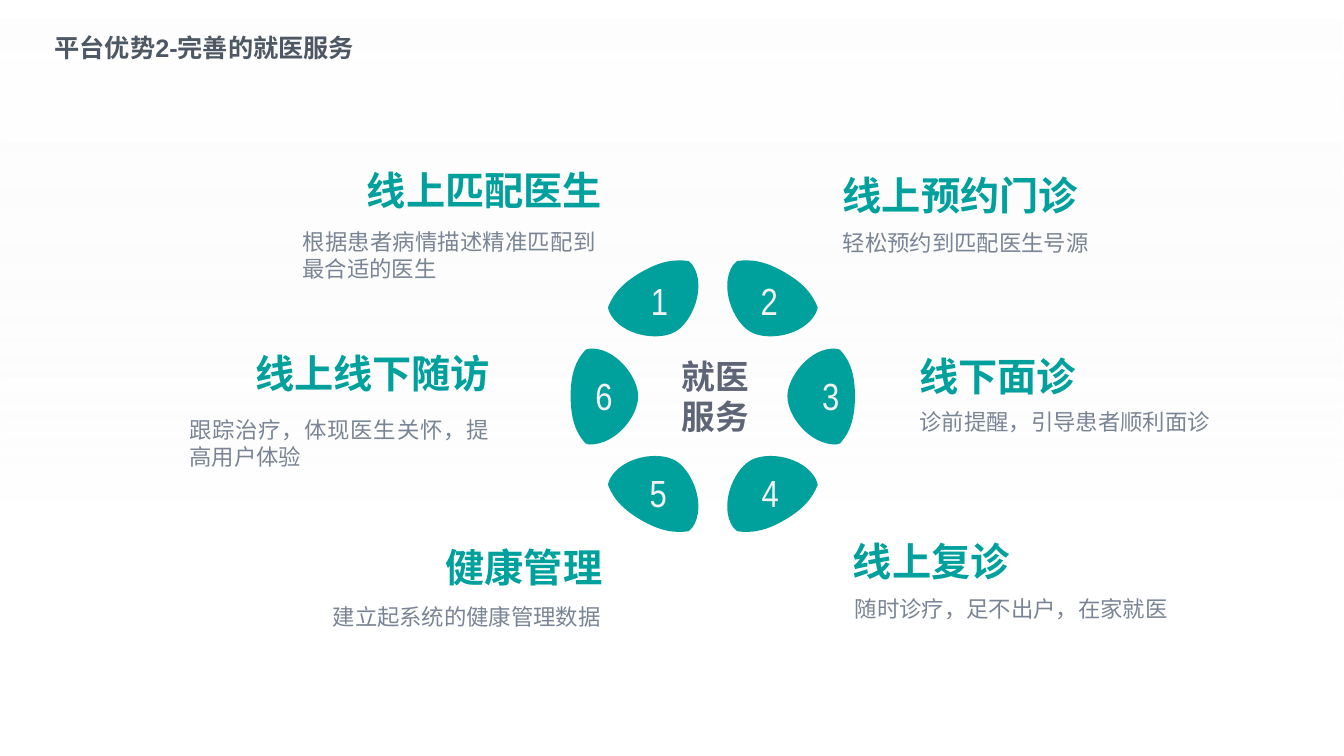
from dataclasses import dataclass

from lxml.etree import SubElement
from pptx import Presentation
from pptx.dml.color import RGBColor
from pptx.enum.shapes import MSO_SHAPE
from pptx.enum.text import MSO_ANCHOR, MSO_AUTO_SIZE, PP_ALIGN
from pptx.oxml.ns import qn
from pptx.util import Inches, Pt

TEAL = "00A09D"
HAN = "Noto Sans CJK SC"
MID_X, MID_Y = 7.07, 3.93

HEAD = {"size": Pt(28), "bold": True, "name": HAN}
NOTE = {"size": Pt(16), "name": HAN}
HUB = {"size": Pt(24), "bold": True, "name": HAN}
DIGIT = {"size": Pt(27), "name": "Arial Narrow"}
TITLE = {"size": Pt(18), "bold": True, "name": "Arial"}

# Each outline is a start point followed by cubic curves (two handles, one end).
CORNER = [(6.83, 2.59),
          (6.69, 2.57), (6.55, 2.59), (6.36, 2.7),
          (6.17, 2.81), (6.08, 2.92), (6.03, 3.05),
          (6.03, 3.06), (6.04, 3.09), (6.05, 3.11),
          (6.17, 3.33), (6.53, 3.39), (6.7, 3.29),
          (6.87, 3.19), (7.01, 2.84), (6.87, 2.63),
          (6.86, 2.62), (6.83, 2.59), (6.83, 2.59)]
SIDE = [(5.8, 3.48),
        (5.71, 3.58), (5.66, 3.71), (5.66, 3.93),
        (5.66, 4.15), (5.71, 4.29), (5.8, 4.39),
        (5.8, 4.4), (5.84, 4.41), (5.85, 4.41),
        (6.11, 4.41), (6.33, 4.13), (6.33, 3.93),
        (6.33, 3.74), (6.1, 3.44), (5.85, 3.46),
        (5.83, 3.46), (5.8, 3.47), (5.8, 3.48)]


@dataclass
class Petal:
    digit: str
    curve: list
    flip_x: bool
    flip_y: bool
    x: float
    y: float


@dataclass
class Topic:
    head: str
    head_box: tuple
    note: str
    note_box: tuple


PETALS = [
    Petal("1", CORNER, False, False, 6.54, 2.75),
    Petal("2", CORNER, True, False, 7.63, 2.75),
    Petal("3", SIDE, True, False, 8.24, 3.7),
    Petal("4", CORNER, True, True, 7.64, 4.66),
    Petal("5", CORNER, False, True, 6.53, 4.66),
    Petal("6", SIDE, False, False, 5.99, 3.7),
]
TOPICS = [
    Topic("线上匹配医生", (3.64, 1.65, 2.36, 0.47),
          "根据患者病情描述精准匹配到最合适的医生", (3, 2.26, 2.91, 0.54)),
    Topic("线上预约门诊", (8.36, 1.7, 2.74, 0.47),
          "轻松预约到匹配医生号源", (8.36, 2.27, 2.74, 0.27)),
    Topic("线下面诊", (9.12, 3.5, 1.77, 0.47),
          "诊前提醒，引导患者顺利面诊", (9.12, 4.05, 2.96, 0.27)),
    Topic("线上复诊", (8.46, 5.33, 2.09, 0.47),
          "随时诊疗，足不出户，在家就医", (8.48, 5.9, 3.18, 0.27)),
    Topic("健康管理", (4.42, 5.39, 1.65, 0.47),
          "建立起系统的健康管理数据", (3.3, 5.98, 2.77, 0.27)),
    Topic("线上线下随访", (2.53, 3.47, 2.36, 0.47),
          "跟踪治疗，体现医生关怀，提高用户体验", (1.88, 4.13, 2.97, 0.54)),
]


def color(code: str) -> RGBColor:
    return RGBColor.from_string(code)


def write(frame, text: str, form: dict, code: str, align) -> None:
    """Fill a text frame, one paragraph per line, in a single format."""
    frame.text = text
    for para in frame.paragraphs:
        para.alignment = align
        for run in para.runs:
            for key, value in form.items():
                setattr(run.font, key, value)
            run.font.color.rgb = color(code)
            SubElement(run.font._element, qn("a:ea"), typeface=HAN)


def label(shapes, box: tuple, text: str, form: dict, code: str,
          align=PP_ALIGN.LEFT, wrap: bool = True):
    frame = shapes.add_textbox(*map(Inches, box)).text_frame
    for side in ("left", "top", "right", "bottom"):
        setattr(frame, f"margin_{side}", 0)
    frame.word_wrap = wrap
    frame.auto_size = MSO_AUTO_SIZE.SHAPE_TO_FIT_TEXT
    write(frame, text, form, code, align)
    return frame


def bend(shape) -> None:
    """Join each three straight segments of an outline into one cubic curve."""
    lines = list(shape.element.iter(qn("a:lnTo")))
    for i in range(0, len(lines), 3):
        first, *rest = lines[i:i + 3]
        curve = first.makeelement(qn("a:cubicBezTo"))
        first.addprevious(curve)
        for line in (first, *rest):
            curve.append(line[0])
            line.getparent().remove(line)


def draw_petal(slide, petal: Petal) -> None:
    points = [(Inches(2 * MID_X - x if petal.flip_x else x),
               Inches(2 * MID_Y - y if petal.flip_y else y))
              for x, y in petal.curve]
    group = slide.shapes.add_group_shape().shapes
    pen = group.build_freeform(*points[0])
    pen.add_line_segments(points[1:], close=False)
    leaf = pen.convert_to_shape()
    bend(leaf)
    last = list(leaf.element.iter(qn("a:cubicBezTo")))[-1]
    SubElement(last.getparent(), qn("a:close"))
    leaf.shadow.inherit = False
    leaf.fill.solid()
    leaf.fill.fore_color.rgb = color(TEAL)
    leaf.line.fill.background()
    frame = label(group, (petal.x - 0.1, petal.y, 0.2, 0.45), petal.digit,
                  DIGIT, "F2F2F2", PP_ALIGN.CENTER, wrap=False)
    frame.paragraphs[0].runs[0].font._element.set("spc", "300")


def draw_topic(slide, topic: Topic) -> None:
    label(slide.shapes, topic.head_box, topic.head, HEAD, TEAL)
    label(slide.shapes, topic.note_box, topic.note, NOTE, "798494",
          PP_ALIGN.JUSTIFY)


def draw_title(slide) -> None:
    title = slide.shapes.title
    title.left, title.top, title.width, title.height = map(
        Inches, (0.44, 0.27, 3.2, 0.4))
    frame = title.text_frame
    frame.word_wrap = True
    frame.auto_size = MSO_AUTO_SIZE.SHAPE_TO_FIT_TEXT
    frame.vertical_anchor = MSO_ANCHOR.TOP
    write(frame, "平台优势2-完善的就医服务", TITLE, "4E5865", PP_ALIGN.LEFT)


def draw_shade(deck, slide) -> None:
    """Lay a faint gradient over the slide master, behind all else."""
    shade = slide.shapes.add_shape(
        MSO_SHAPE.RECTANGLE, 0, 0, deck.slide_width, deck.slide_height)
    shade.shadow.inherit = False
    shade.line.fill.background()
    shade.fill.gradient()
    shade.fill.gradient_angle = 270
    stops = [(0, "FFFFFF", "55000"), (0.71, "F2F2F2", "0")]
    for stop, (place, code, alpha) in zip(shade.fill.gradient_stops, stops):
        stop.position = place
        stop.color.rgb = color(code)
        tint = stop._element.find(qn("a:srgbClr"))
        SubElement(tint, qn("a:alpha"), val=alpha)
    deck.slide_master.shapes[0].element.addprevious(shade.element)


def main() -> None:
    deck = Presentation()
    deck.slide_width, deck.slide_height = Inches(13.33), Inches(7.5)
    slide = deck.slides.add_slide(deck.slide_layouts[5])
    label(slide.shapes, (6.55, 3.53, 1.09, 0.81), "就医\n服务", HUB, "5E6576",
          PP_ALIGN.CENTER)
    for petal in PETALS:
        draw_petal(slide, petal)
    for topic in TOPICS:
        draw_topic(slide, topic)
    draw_title(slide)
    draw_shade(deck, slide)
    deck.save("out.pptx")


if __name__ == "__main__":
    main()
